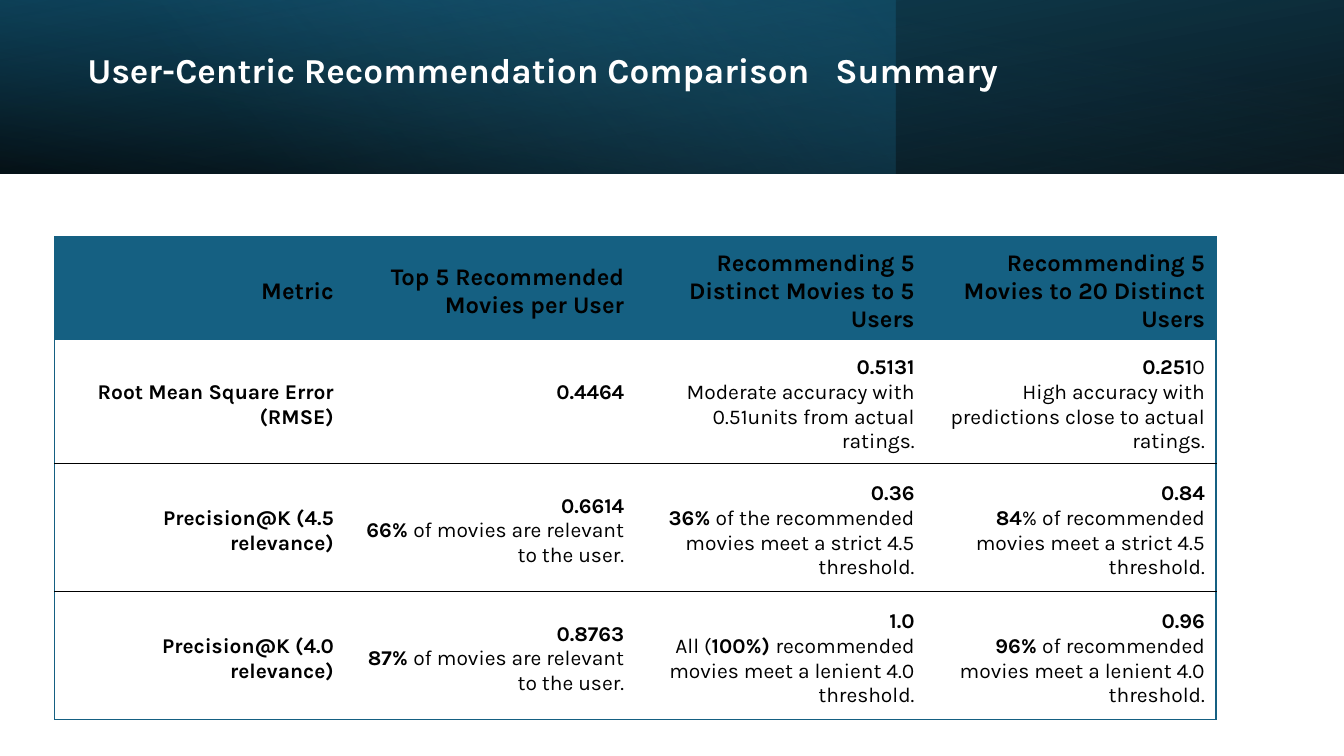
import pptx
import pptx.dml.color
import pptx.enum.shapes
import pptx.enum.text
import pptx.oxml
import pptx.oxml.ns
import pptx.util
from lxml import etree

Pt = pptx.util.Pt

# Content: text between asterisks is bold
TITLE = "User-Centric Recommendation Comparison\tSummary"
ROWS = [
    ["*Metric*", "*Top 5 Recommended Movies per User*",
     "*Recommending 5 Distinct Movies to 5 Users*",
     "*Recommending 5 Movies to 20 Distinct Users*"],
    ["*Root Mean Square Error (RMSE)*", "*0.4464*",
     "*0.5131*\nModerate accuracy with 0.51units from actual ratings.",
     "*0.251*0\nHigh accuracy with predictions close to actual ratings."],
    ["*Precision@K (4.5 relevance)*",
     "*0.6614\n66% *of movies are relevant to the user.",
     "*0.36\n36%* of the recommended movies meet a strict 4.5 threshold.",
     "*0.84\n84*% of recommended movies meet a strict 4.5 threshold."],
    ["*Precision@K (4.0 relevance)*",
     "*0.8763\n87% *of movies are relevant to the user.",
     "*1.0*\nAll (*100%) *recommended movies meet a lenient 4.0 threshold.",
     "*0.96\n96% *of recommended movies meet a lenient 4.0 threshold."],
]

# Format values
FONT, BLUE, BLACK, WHITE = "Karla", "156082", "000000", "FFFFFF"
WIDTH, HEIGHT = 960, 540
BAND_HEIGHT = 124
# Width, rotation, mirrored, angle, stops as (position, colour, opacity)
BAND_LAYERS = [
    (WIDTH, 180, True, 100, [(0, BLACK, 96), (100, "104862", 100)]),
    (640, 0, False, 140, [(0, BLUE, 41), (74, "46B1E1", 0)]),
    (WIDTH, 0, True, 260, [(0, BLACK, 63), (78, BLUE, 15)]),
]
TITLE_BOX = (55.4, 19.4, 813, 64)
TITLE_TAB = 534.3
TABLE_LEFT, TABLE_TOP, COLUMN_WIDTH = 39, 169, 207.4
ROW_HEIGHTS = [72, 88.5, 91.5, 91.5]
HEADER_SIZE, BODY_SIZE = 17, 15
CELL_FORMAT = {
    "margin_left": Pt(7.9), "margin_right": Pt(7.9),
    "margin_top": Pt(8.6), "margin_bottom": Pt(3.6),
    "vertical_anchor": pptx.enum.text.MSO_ANCHOR.MIDDLE,
}
RAISED_CELL, RAISED_MARGIN = (1, 1), 21.4


def color(value):
    return pptx.dml.color.RGBColor.from_string(value)


def apply(target, values):
    for name, value in values.items():
        setattr(target, name, value)


def add_element(parent, tag, **attributes):
    element = etree.SubElement(parent, pptx.oxml.ns.qn(tag))
    for name, value in attributes.items():
        element.set(name, str(value))
    return element


def add_run(paragraph, text, size, bold, font_color):
    run = paragraph.add_run()
    run.text = text
    apply(run.font, {"name": FONT, "size": Pt(size), "bold": bold})
    run.font.color.rgb = color(font_color)


def add_marked_text(paragraph, text, size):
    for part_index, part in enumerate(text.split("*")):
        for line_index, line in enumerate(part.split("\n")):
            if line_index:
                paragraph.add_line_break()
            if line:
                add_run(paragraph, line, size, part_index % 2 == 1, BLACK)


def add_band_layer(slide, width, rotation, mirrored, angle, stops):
    shape = slide.shapes.add_shape(
        pptx.enum.shapes.MSO_SHAPE.RECTANGLE, 0, 0, Pt(width), Pt(BAND_HEIGHT))
    shape.shadow.inherit = False
    shape.line.fill.background()
    shape.rotation = rotation
    properties = shape._element.spPr
    if mirrored:
        properties.find(pptx.oxml.ns.qn("a:xfrm")).set("flipH", "1")
    gradient = add_element(properties, "a:gradFill", rotWithShape=1)
    stop_list = add_element(gradient, "a:gsLst")
    for position, value, opacity in stops:
        stop = add_element(stop_list, "a:gs", pos=position * 1000)
        stop_color = add_element(stop, "a:srgbClr", val=value)
        add_element(stop_color, "a:alpha", val=opacity * 1000)
    add_element(gradient, "a:lin", ang=angle * 60000, scaled=0)
    properties.find(pptx.oxml.ns.qn("a:prstGeom")).addnext(gradient)


def set_borders(cell, borders):
    properties = cell._tc.get_or_add_tcPr()
    for index, side in enumerate(("L", "R", "T", "B")):
        width, value = borders.get(side, (0, None))
        line = add_element(properties, "a:ln" + side, w=int(Pt(width)))
        if value:
            fill = add_element(line, "a:solidFill")
            add_element(fill, "a:srgbClr", val=value)
        else:
            add_element(line, "a:noFill")
        properties.insert(index, line)


def cell_borders(row, column):
    outer, inner = (1, BLUE), (0.75, BLACK)
    last_row, last_column = len(ROWS) - 1, len(ROWS[0]) - 1
    borders = {"T": outer if row < 2 else inner,
               "B": outer if row in (0, last_row) else inner}
    if column == 0:
        borders["L"] = outer
    if column == last_column:
        borders["R"] = outer
    return borders


def add_title(slide):
    box = slide.shapes.add_textbox(*[Pt(length) for length in TITLE_BOX])
    apply(box.text_frame, {
        "word_wrap": True,
        "vertical_anchor": pptx.enum.text.MSO_ANCHOR.MIDDLE})
    paragraph = box.text_frame.paragraphs[0]
    paragraph.line_spacing = 0.9
    tabs = add_element(paragraph._p.get_or_add_pPr(), "a:tabLst")
    add_element(tabs, "a:tab", pos=int(Pt(TITLE_TAB)), algn="l")
    add_run(paragraph, TITLE, 25, True, WHITE)


def add_metric_table(slide):
    columns = len(ROWS[0])
    table = slide.shapes.add_table(
        len(ROWS), columns, Pt(TABLE_LEFT), Pt(TABLE_TOP),
        Pt(COLUMN_WIDTH * columns), Pt(sum(ROW_HEIGHTS))).table
    apply(table, {"first_row": False, "horz_banding": False})
    for column in table.columns:
        column.width = Pt(COLUMN_WIDTH)
    for row, texts in enumerate(ROWS):
        table.rows[row].height = Pt(ROW_HEIGHTS[row])
        for column, text in enumerate(texts):
            cell = table.cell(row, column)
            apply(cell, CELL_FORMAT)
            if (row, column) == RAISED_CELL:
                cell.margin_bottom = Pt(RAISED_MARGIN)
            cell.fill.solid()
            cell.fill.fore_color.rgb = color(WHITE if row else BLUE)
            set_borders(cell, cell_borders(row, column))
            paragraph = cell.text_frame.paragraphs[0]
            paragraph.alignment = pptx.enum.text.PP_ALIGN.RIGHT
            add_marked_text(paragraph, text, BODY_SIZE if row else HEADER_SIZE)


def main():
    presentation = pptx.Presentation()
    apply(presentation, {"slide_width": Pt(WIDTH), "slide_height": Pt(HEIGHT)})
    slide = presentation.slides.add_slide(presentation.slide_layouts[6])
    # Title band
    for layer in BAND_LAYERS:
        add_band_layer(slide, *layer)
    add_title(slide)
    # Metrics
    add_metric_table(slide)
    presentation.save("out.pptx")


if __name__ == "__main__":
    main()
